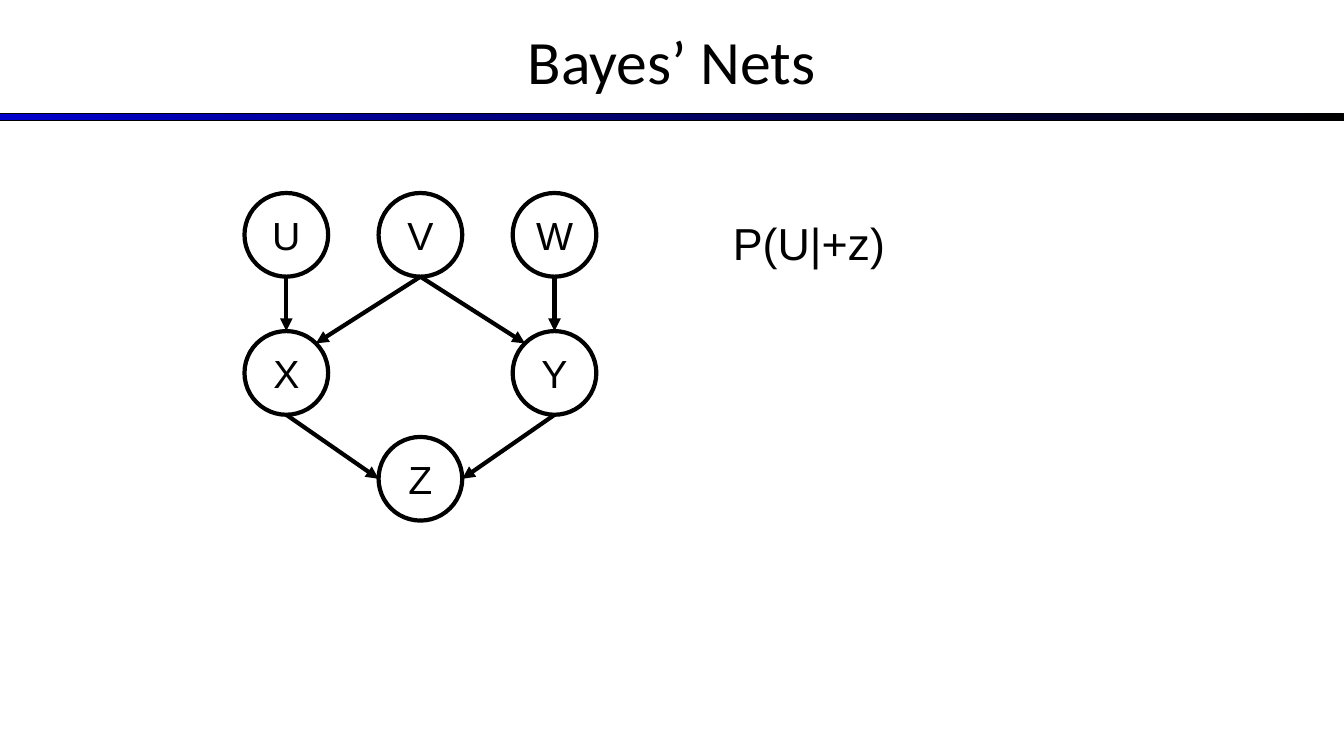
from math import sqrt

from lxml import etree
from pptx import Presentation
from pptx.dml.color import RGBColor
from pptx.enum import shapes, text
from pptx.oxml import ns
from pptx.util import Inches, Pt

BLACK, WHITE, BLUE = "000000", "FFFFFF", "0000CC"
DIAMETER = 0.83
RADIUS = DIAMETER / 2
LEFT, MIDDLE, RIGHT = 2.84, 4.17, 5.5

# Centre of each node
NODES = {
    "U": (LEFT, 2.33), "V": (MIDDLE, 2.33), "W": (RIGHT, 2.33),
    "X": (LEFT, 3.7), "Y": (RIGHT, 3.7),
    "Z": (MIDDLE, 4.75),
}
# Parent, child, and the side of the child that the arrow meets
EDGES = [
    ("U", "X", "top"), ("V", "X", "top right"), ("X", "Z", "left"),
    ("V", "Y", "top left"), ("W", "Y", "top"), ("Y", "Z", "right"),
]
DIAGONAL = RADIUS / sqrt(2)
SIDES = {
    "top": (0, -RADIUS), "bottom": (0, RADIUS),
    "left": (-RADIUS, 0), "right": (RADIUS, 0),
    "top left": (-DIAGONAL, -DIAGONAL), "top right": (DIAGONAL, -DIAGONAL),
}


def color(value):
    return RGBColor.from_string(value)


def set_line(line, width):
    line.color.rgb = color(BLACK)
    line.width = Pt(width)


def write(shape, words, size, font="Arial", align=text.PP_ALIGN.CENTER,
          **frame_format):
    frame = shape.text_frame
    for name, value in frame_format.items():
        setattr(frame, name, value)
    para = frame.paragraphs[0]
    para.alignment = align
    span = para.add_run()
    span.text = words
    for name, value in {"name": font, "size": Pt(size)}.items():
        setattr(span.font, name, value)
    span.font.color.rgb = color(BLACK)


def add_text(page, bounds, words, size, **formats):
    box = page.shapes.add_textbox(*map(Inches, bounds))
    write(box, words, size, word_wrap=True, **formats)


def add_rule(page):
    rule = page.shapes.add_shape(
        shapes.MSO_SHAPE.RECTANGLE, *map(Inches, (0, 1.13, 13.33, 0.07)))
    rule.shadow.inherit = False
    rule.fill.gradient()
    rule.fill.gradient_angle = 0
    for stop, position, value in zip(rule.fill.gradient_stops, (0, 1), (BLUE, BLACK)):
        stop.position = position
        stop.color.rgb = color(value)
    set_line(rule.line, 0.75)


def add_node(page, name):
    x, y = NODES[name]
    bounds = (x - RADIUS, y - RADIUS, DIAMETER, DIAMETER)
    node = page.shapes.add_shape(shapes.MSO_SHAPE.OVAL, *map(Inches, bounds))
    node.shadow.inherit = False
    node.fill.solid()
    node.fill.fore_color.rgb = color(WHITE)
    set_line(node.line, 3)
    write(node, name, 28, vertical_anchor=text.MSO_ANCHOR.MIDDLE,
          margin_left=0, margin_right=0, word_wrap=False)


def rim_point(name, side):
    return [centre + offset for centre, offset in zip(NODES[name], SIDES[side])]


def add_edge(page, parent, child, side):
    ends = rim_point(parent, "bottom") + rim_point(child, side)
    edge = page.shapes.add_connector(
        shapes.MSO_CONNECTOR.STRAIGHT, *map(Inches, ends))
    set_line(edge.line, 3)
    etree.SubElement(edge.line._get_or_add_ln(), ns.qn("a:tailEnd"), type="triangle")
    etree.SubElement(edge._element.spPr, ns.qn("a:effectLst"))


def main():
    deck = Presentation()
    deck.slide_width, deck.slide_height = Inches(13.33), Inches(7.5)
    page = deck.slides.add_slide(deck.slide_layouts[6])

    # Header
    add_rule(page)
    add_text(page, (0, -0.03, 13.33, 1.25), "Bayes’ Nets", 44, font="Calibri",
             vertical_anchor=text.MSO_ANCHOR.MIDDLE)

    # Network
    for name in NODES:
        add_node(page, name)
    for edge in EDGES:
        add_edge(page, *edge)

    # Query
    add_text(page, (7.17, 2.09, 2.53, 0.64), "P(U|+z)", 32,
             align=text.PP_ALIGN.LEFT,
             auto_size=text.MSO_AUTO_SIZE.SHAPE_TO_FIT_TEXT)

    deck.save("out.pptx")


if __name__ == "__main__":
    main()
